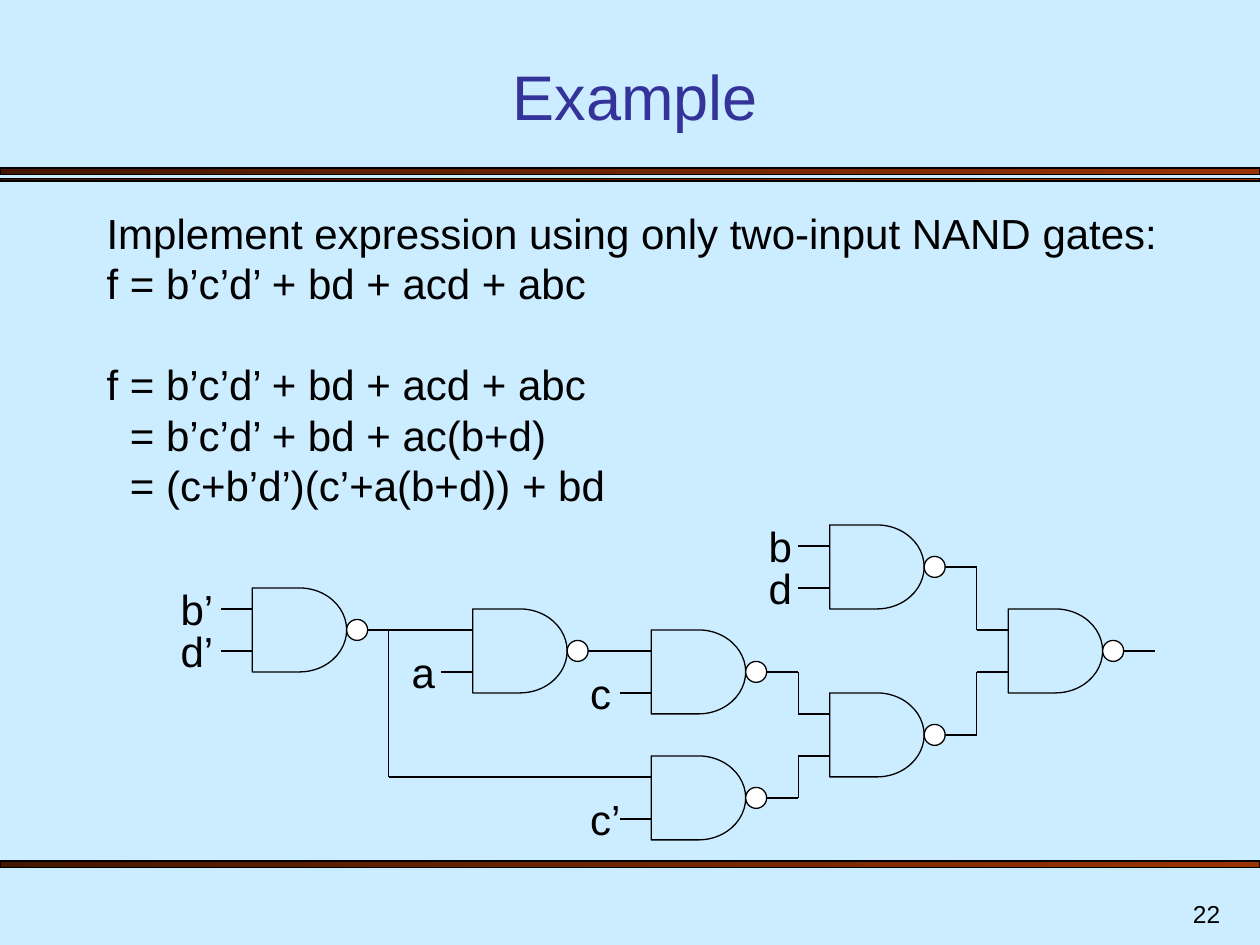
from dataclasses import dataclass

from pptx import Presentation
from pptx import util as u
from pptx.dml.color import RGBColor
from pptx.enum import shapes, text
from pptx.oxml import xmlchemy as _unused_xmlchemy
from pptx.oxml.ns import qn
from lxml import etree


@dataclass(frozen=True)
class Theme:
    """Colours, type sizes and line width of the slide."""
    background: RGBColor = RGBColor(0xCC, 0xEC, 0xFF)
    title: RGBColor = RGBColor(0x33, 0x33, 0x99)
    ink: RGBColor = RGBColor(0, 0, 0)
    bubble: RGBColor = RGBColor(0xFF, 0xFF, 0xFF)
    rule_right: RGBColor = RGBColor(0x99, 0x33, 0)
    rule_left: RGBColor = RGBColor(0x46, 0x17, 0)
    font: str = "Arial"
    title_size: float = 36
    body_size: float = 24
    body_leading: float = 28.8
    number_size: float = 14
    line: float = 0.75


@dataclass(frozen=True)
class Box:
    """A region in centimetres."""
    left: float
    top: float
    width: float
    height: float

    def lengths(self):
        """Return the four measures as lengths."""
        return [u.Cm(value) for value in (self.left, self.top, self.width, self.height)]


THEME = Theme()
GRID = 2.54 / 12
GATES = [(5, 7), (26, 9), (43, 11), (43, 23), (60, 1), (60, 17), (77, 9)]
WIRES = [
    (22, 11, 26, 11), (21, 11, 21, 25), (21, 25, 43, 25),
    (60, 15, 60, 19), (60, 23, 60, 27), (77, 5, 77, 11), (77, 15, 77, 21),
]
INPUTS = [
    ("b’", 0, 6), ("d’", 0, 10), ("a", 22, 12), ("c", 39, 14),
    ("c’", 39, 26), ("b", 56, 0), ("d", 56, 4),
]


def cell(box, column, row, columns, rows):
    """Return the part of a box that covers the given grid cells."""
    return Box(box.left + column * GRID, box.top + row * GRID, columns * GRID, rows * GRID)


def add_text(parent, box, wording, size, color=THEME.ink, leading=None,
             align=text.PP_ALIGN.LEFT, anchor=text.MSO_ANCHOR.TOP):
    """Add a text box and return its paragraphs."""
    frame = parent.add_textbox(*box.lengths()).text_frame
    frame.word_wrap = True
    frame.vertical_anchor = anchor
    frame.text = wording
    for paragraph in frame.paragraphs:
        paragraph.alignment = align
        if leading:
            paragraph.line_spacing = u.Pt(leading)
        for run in paragraph.runs:
            run.font.name = THEME.font
            run.font.size = u.Pt(size)
            run.font.color.rgb = color
    return frame.paragraphs


def add_outline(parent, kind, box):
    """Add a preset shape with a thin dark outline and no shadow."""
    shape = parent.add_shape(kind, *box.lengths())
    shape.shadow.inherit = False
    shape.line.color.rgb = THEME.ink
    shape.line.width = u.Pt(THEME.line)
    return shape


def add_wire(parent, box, start_column, start_row, end_column, end_row):
    """Add a straight wire between two grid points of a box."""
    start = cell(box, start_column, start_row, 0, 0)
    end = cell(box, end_column, end_row, 0, 0)
    wire = parent.add_connector(
        shapes.MSO_CONNECTOR.STRAIGHT,
        u.Cm(start.left), u.Cm(start.top), u.Cm(end.left), u.Cm(end.top))
    wire.line.color.rgb = THEME.ink
    wire.line.width = u.Pt(THEME.line)
    etree.SubElement(wire.element.spPr, qn("a:effectLst"))


def add_rule(slide, box):
    """Draw a horizontal bar with a brown gradient."""
    rule = add_outline(slide.shapes, shapes.MSO_SHAPE.RECTANGLE, box)
    rule.fill.gradient()
    rule.fill.gradient_angle = 180
    for stop, color in zip(rule.fill.gradient_stops, (THEME.rule_right, THEME.rule_left)):
        stop.color.rgb = color


def add_title(slide, box):
    """Write the slide title."""
    add_text(slide.shapes, box, "Example", THEME.title_size, THEME.title,
             align=text.PP_ALIGN.CENTER, anchor=text.MSO_ANCHOR.BOTTOM)


def add_derivation(slide, box):
    """Write the task and the steps that simplify the expression."""
    lines = [
        "Implement expression using only two-input NAND gates:",
        "f = b’c’d’ + bd + acd + abc",
        "f = b’c’d’ + bd + acd + abc",
        "= b’c’d’ + bd + ac(b+d)",
        "= (c+b’d’)(c’+a(b+d)) + bd",
    ]
    paragraphs = add_text(slide.shapes, box, "\n".join(lines), THEME.body_size,
                          leading=THEME.body_leading)
    paragraphs[2].space_before = u.Pt(THEME.body_leading)
    for paragraph in paragraphs[3:]:
        paragraph._p.get_or_add_pPr().set("marL", str(u.Cm(0.47)))


def add_gate(slide, box):
    """Draw a NAND gate with two inputs and one output."""
    parts = slide.shapes.add_group_shape().shapes
    body = add_outline(parts, shapes.MSO_SHAPE.FLOWCHART_DELAY, cell(box, 3, 0, 9, 8))
    body.fill.background()
    bubble = add_outline(parts, shapes.MSO_SHAPE.OVAL, cell(box, 12, 3, 2, 2))
    bubble.fill.solid()
    bubble.fill.fore_color.rgb = THEME.bubble
    for wire in ((0, 2, 3, 2), (0, 6, 3, 6), (14, 4, 17, 4)):
        add_wire(parts, box, *wire)


def add_circuit(slide, box):
    """Draw the gates, the wires between them and the input names."""
    for column, row in GATES:
        add_gate(slide, cell(box, column, row, 17, 8))
    for wire in WIRES:
        add_wire(slide.shapes, box, *wire)
    for name, column, row in INPUTS:
        add_text(slide.shapes, cell(box, column, row, 6, 6), name, THEME.body_size,
                 leading=THEME.body_leading)


def add_page_number(slide, box):
    """Write the page number."""
    add_text(slide.shapes, box, "22", THEME.number_size,
             align=text.PP_ALIGN.RIGHT, anchor=text.MSO_ANCHOR.BOTTOM)


def main():
    """Build and save the slide."""
    presentation = Presentation()
    presentation.slide_width, presentation.slide_height = u.Cm(25.4), u.Cm(19.05)
    slide = presentation.slides.add_slide(presentation.slide_layouts[6])
    slide.background.fill.solid()
    slide.background.fill.fore_color.rgb = THEME.background
    for top, height in ((3.39, 0.13), (3.6, 0.05), (17.36, 0.13)):
        add_rule(slide, Box(0, top, 25.4, height))
    add_title(slide, Box(1.48, 1.06, 22.65, 1.74))
    add_derivation(slide, Box(1.9, 4.06, 22.01, 6.35))
    add_circuit(slide, Box(3.39, 10.37, 19.9, 6.77))
    add_page_number(slide, Box(19.56, 17.78, 5.29, 1.06))
    presentation.save("out.pptx")


if __name__ == "__main__":
    main()
